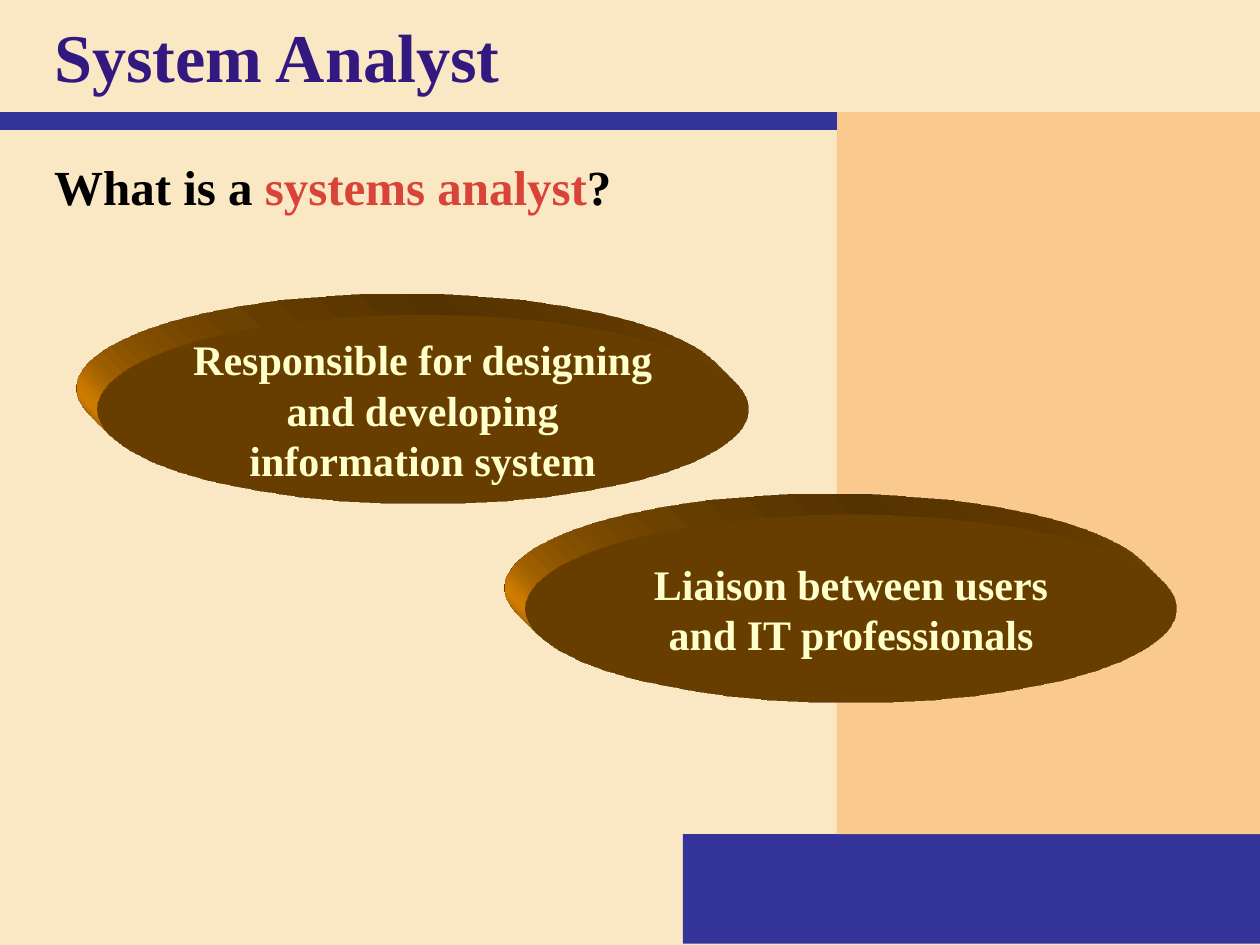
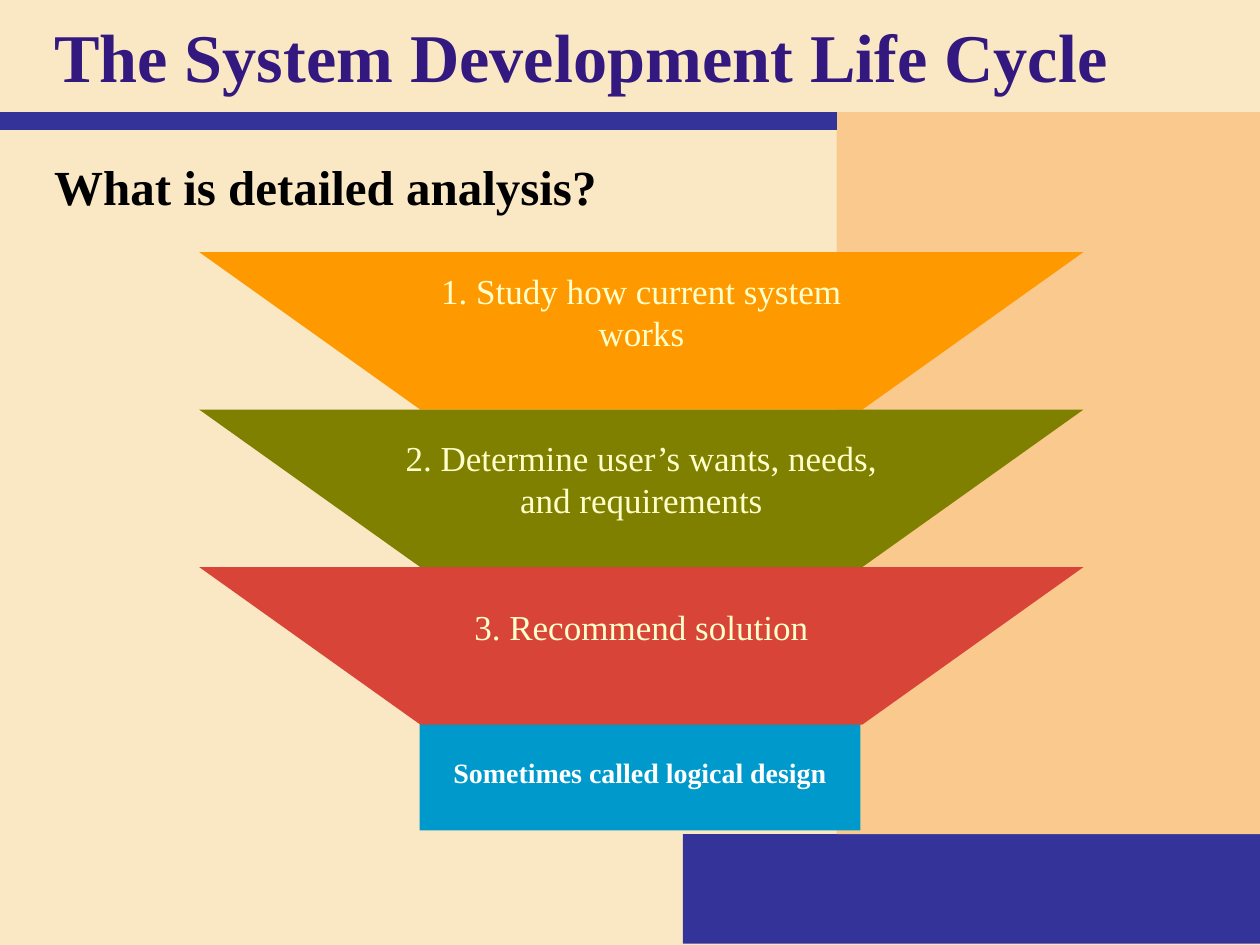
from lxml import etree
from pptx import Presentation
from pptx.dml.color import RGBColor
from pptx.enum.shapes import MSO_CONNECTOR, MSO_SHAPE
from pptx.enum.text import MSO_ANCHOR, MSO_AUTO_SIZE, PP_ALIGN
from pptx.oxml import parse_xml
from pptx.oxml.ns import nsdecls, qn
from pptx.util import Inches, Pt

RECTANGLE, OVAL = MSO_SHAPE.RECTANGLE, MSO_SHAPE.OVAL
STRAIGHT = MSO_CONNECTOR.STRAIGHT
TOP, MIDDLE = MSO_ANCHOR.TOP, MSO_ANCHOR.MIDDLE
LEFT, CENTER = PP_ALIGN.LEFT, PP_ALIGN.CENTER

FONT = "Times New Roman"
CREAM, PEACH, NAVY, PURPLE = "FAE8C4", "FAC98E", "333399", "33197F"
ORANGE, OLIVE, RED, BLUE = "FF9900", "808000", "D94439", "0099CC"
PALE, WHITE, BLACK = "FFFFCC", "FFFFFF", "000000"

# Content: a question is a list of (text, colour) runs
ANALYST_TITLE = "System Analyst"
ANALYST_QUESTION = [("What is a ", BLACK), ("systems analyst", RED), ("?", BLACK)]
ROLES = ["Responsible for designing and developing information system",
         "Liaison between users and IT professionals"]

CYCLE_TITLE = "The System Development Life Cycle"
CYCLE_QUESTION = [("What is detailed analysis?", BLACK)]
STEPS = [  # text, fill, bottom inset
    ("1. Study how current system works", ORANGE, 0.3),
    ("2. Determine user’s wants, needs, and requirements", OLIVE, 0.16),
    ("3. Recommend solution", RED, 0.3),
]
ALIAS = "Sometimes called logical design"

# Geometry in inches
WIDTH, HEIGHT = 10, 7.5
TITLE_BOX = (0.33, 0, 9.39, 0.88)
QUESTION_BOX = (0.33, 1.19, 9.39, 0.72)
SIDE_LEFT, SIDE_TOP, FOOT_TOP = 6.64, 0.89, 6.62
ROLE_SIZE, ROLE_START, ROLE_STEP = (5.17, 1.5), (0.77, 2.5), (3.4, 1.58)
FUNNEL_LEFT, FUNNEL_TOP, FUNNEL_WIDTH, STEP_HEIGHT = 1.58, 2, 7.02, 1.25
FUNNEL_SLOPE = FUNNEL_WIDTH / 4
STEP_INSET = 1.6
ALIAS_BOX = (3.33, 5.67, 3.5, 0.92)


def color(hex_code):
    return RGBColor.from_string(hex_code)


def write(shape, runs, size, bold=True, align=CENTER, anchor=MIDDLE,
          insets=(0.1, 0.05, 0.1, 0.05)):
    """Fill a shape with one paragraph of (text, colour) runs."""
    frame = shape.text_frame
    frame.word_wrap = True
    frame.auto_size = MSO_AUTO_SIZE.NONE
    frame.vertical_anchor = anchor
    (frame.margin_left, frame.margin_top,
     frame.margin_right, frame.margin_bottom) = map(Inches, insets)
    paragraph = frame.paragraphs[0]
    paragraph.alignment = align
    paragraph.space_before = Pt(0)
    for text, hue in runs:
        run = paragraph.add_run()
        run.text = text
        run.font.name, run.font.size, run.font.bold = FONT, Pt(size), bold
        run.font.color.rgb = color(hue)


def paint(shape, fill):
    shape.shadow.inherit = False
    shape.fill.solid()
    shape.fill.fore_color.rgb = color(fill)
    shape.line.fill.background()
    return shape


def add_block(slide, kind, box, fill):
    return paint(slide.shapes.add_shape(kind, *map(Inches, box)), fill)


def place(shape, box):
    shape.left, shape.top, shape.width, shape.height = map(Inches, box)


def extrude(shape, hue):
    """Give the shape a depth that runs up and to the left."""
    properties = shape._element.spPr
    properties.append(parse_xml(
        f'<a:scene3d {nsdecls("a")}><a:camera prst="legacyObliqueTopLeft"/>'
        '<a:lightRig rig="legacyNormal3" dir="t"/></a:scene3d>'))
    properties.append(parse_xml(
        f'<a:sp3d {nsdecls("a")} extrusionH="430200" prstMaterial="legacyMatte">'
        '<a:bevelT w="13500" h="13500" prst="angle"/>'
        '<a:bevelB w="13500" h="13500" prst="angle"/>'
        f'<a:extrusionClr><a:srgbClr val="{hue}"/></a:extrusionClr></a:sp3d>'))


def add_funnel_step(slide, top, fill):
    right, bottom = FUNNEL_LEFT + FUNNEL_WIDTH, top + STEP_HEIGHT
    start, *others = [(Inches(x), Inches(y)) for x, y in (
        (FUNNEL_LEFT, top), (FUNNEL_LEFT + FUNNEL_SLOPE, bottom),
        (right - FUNNEL_SLOPE, bottom), (right, top))]
    builder = slide.shapes.build_freeform(*start)
    builder.add_line_segments(others)
    return paint(builder.convert_to_shape(), fill)


def decorate_layout(layout, slide):
    """Draw the bands on a slide, then hand them to its layout."""
    foot = add_block(slide, RECTANGLE, (5.42, FOOT_TOP, 4.6, 0.87), NAVY)
    side = add_block(slide, RECTANGLE,
                     (SIDE_LEFT, SIDE_TOP, WIDTH - SIDE_LEFT, FOOT_TOP - SIDE_TOP), PEACH)
    rule = slide.shapes.add_connector(
        STRAIGHT, 0, Inches(0.96), Inches(SIDE_LEFT), Inches(0.96))
    rule.line.color.rgb, rule.line.width = color(NAVY), Pt(10)
    etree.SubElement(rule._element.spPr, qn("a:effectLst"))
    for position, band in enumerate((foot, side, rule), start=2):
        layout.shapes._spTree.insert(position, band._element)


def add_topic(prs, layout, title, question):
    slide = prs.slides.add_slide(layout)
    heading, body = slide.placeholders
    place(heading, TITLE_BOX)
    write(heading, [(title, PURPLE)], 39, align=LEFT)
    place(body, QUESTION_BOX)
    properties = body.text_frame.paragraphs[0]._p.get_or_add_pPr()
    properties.set("marL", "0")
    properties.set("indent", "0")
    etree.SubElement(properties, qn("a:buNone"))
    write(body, question, 28, align=LEFT, anchor=TOP)
    return slide


def main():
    prs = Presentation()
    prs.slide_width, prs.slide_height = Inches(WIDTH), Inches(HEIGHT)
    layout = prs.slide_layouts[1]
    background = prs.slide_master.background.fill
    background.solid()
    background.fore_color.rgb = color(CREAM)

    analyst = add_topic(prs, layout, ANALYST_TITLE, ANALYST_QUESTION)
    decorate_layout(layout, analyst)
    for index, role in enumerate(ROLES):
        corner = [start + index * step for start, step in zip(ROLE_START, ROLE_STEP)]
        oval = add_block(analyst, OVAL, (*corner, *ROLE_SIZE), ORANGE)
        extrude(oval, ORANGE)
        write(oval, [(role, PALE)], 24, insets=(0, 0, 0, 0))

    cycle = add_topic(prs, layout, CYCLE_TITLE, CYCLE_QUESTION)
    alias = add_block(cycle, RECTANGLE, ALIAS_BOX, BLUE)
    write(alias, [(ALIAS, WHITE)], 16)
    for index, (step, fill, bottom_inset) in enumerate(STEPS):
        trapezoid = add_funnel_step(cycle, FUNNEL_TOP + index * STEP_HEIGHT, fill)
        write(trapezoid, [(step, PALE)], 20, bold=False,
              insets=(STEP_INSET, 0, STEP_INSET, bottom_inset))

    prs.save("out.pptx")


if __name__ == "__main__":
    main()
